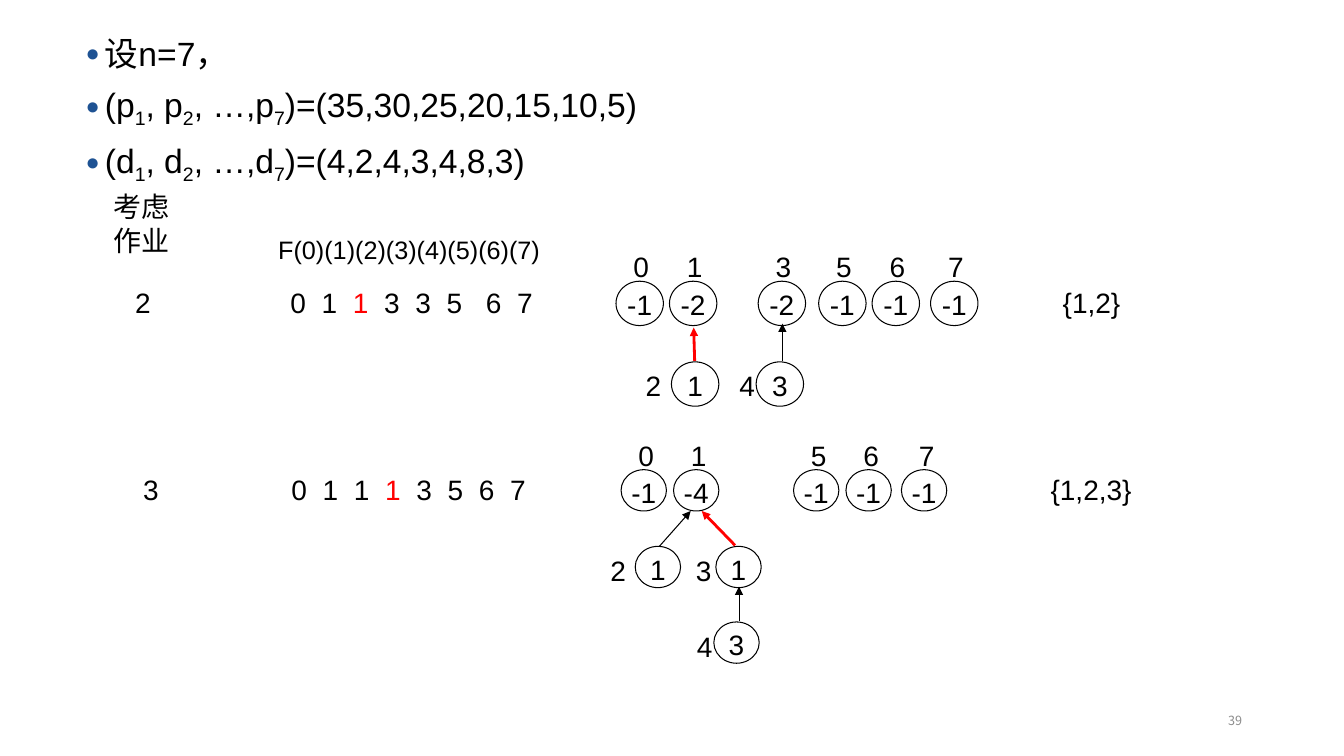
from lxml import etree
from pptx import Presentation
from pptx.dml.color import RGBColor
from pptx.enum.shapes import MSO_CONNECTOR as Connector, MSO_SHAPE as Shape
from pptx.enum.text import MSO_ANCHOR as Anchor, PP_ALIGN as Align
from pptx.oxml.ns import qn
from pptx.util import Inches, Pt

BLACK, RED, BLUE, GRAY = "000000", "FF0000", "1E5293", "8C8C8C"
LATIN, CJK = "Arial", "Noto Sans CJK SC"


def color(value):
    return RGBColor.from_string(value)


def set_font(font, size, name=LATIN, tint=BLACK):
    font.size, font.name = Pt(size), name
    font.color.rgb = color(tint)


def set_margins(frame, x=0, y=0):
    frame.margin_left = frame.margin_right = Inches(x)
    frame.margin_top = frame.margin_bottom = Inches(y)


def add_label(slide, left, top, width, height, text, size=20, name=LATIN,
              tint=BLACK, align=Align.LEFT, anchor=Anchor.TOP):
    box = slide.shapes.add_textbox(Inches(left), Inches(top), Inches(width), Inches(height))
    frame = box.text_frame
    frame.word_wrap = True
    frame.vertical_anchor = anchor
    set_margins(frame)
    frame.text = text
    for paragraph in frame.paragraphs:
        paragraph.alignment = align
        set_font(paragraph.font, size, name, tint)
    return frame


# Given data: bulleted list with subscripts
def add_bullet(paragraph):
    props = paragraph._p.get_or_add_pPr()
    props.set("marL", str(Inches(0.19)))
    props.set("indent", str(-Inches(0.19)))
    tint = etree.SubElement(props, qn("a:buClr"))
    etree.SubElement(tint, qn("a:srgbClr"), val=BLUE)
    etree.SubElement(props, qn("a:buSzPct"), val="70000")
    etree.SubElement(props, qn("a:buFont"), typeface=LATIN)
    etree.SubElement(props, qn("a:buChar"), char="●")


def fill_given(body, left, top, width, height):
    body.left, body.top = Inches(left), Inches(top)
    body.width, body.height = Inches(width), Inches(height)
    frame = body.text_frame
    set_margins(frame, 0.1, 0.05)
    lines = [["设n=7，"]]
    for letter, values in (("p", "35,30,25,20,15,10,5"), ("d", "4,2,4,3,4,8,3")):
        lines.append([f"({letter}", "1", f", {letter}", "2", f", …,{letter}", "7", f")=({values})"])
    for number, pieces in enumerate(lines):
        paragraph = frame.add_paragraph() if number else frame.paragraphs[0]
        paragraph.line_spacing = 1.1
        paragraph.space_before = Pt(4 if number else 0)
        add_bullet(paragraph)
        set_font(paragraph.font, 24)
        for place, piece in enumerate(pieces):
            run = paragraph.add_run()
            run.text = piece
            if place % 2:
                run.font._element.set("baseline", "-25000")


# Values of F, one tab stop per column
def add_values(slide, left, top, values, changed, wide_from=8):
    frame = add_label(slide, left, top, 2.62, 0.39, "")
    paragraph = frame.paragraphs[0]
    stops = etree.SubElement(paragraph._p.get_or_add_pPr(), qn("a:tabLst"))
    for column, value in enumerate(values):
        if column:
            stop = 0.31 * column + (0.08 if column >= wide_from else 0)
            etree.SubElement(stops, qn("a:tab"), pos=str(Inches(stop)), algn="l")
        run = paragraph.add_run()
        run.text = ("\t" if column else "") + str(value)
        if column == changed:
            run.font.color.rgb = color(RED)
    # tab stops come before the default run properties
    props = paragraph._p.pPr
    props.insert(0, stops)


# Trees: nodes with labels and parent arrows
def add_node(slide, left, top, width, height, value):
    node = slide.shapes.add_shape(Shape.OVAL, Inches(left), Inches(top), Inches(width), Inches(height))
    node.shadow.inherit = False
    node.fill.background()
    node.line.color.rgb = color(BLACK)
    node.line.width = Pt(0.75)
    frame = node.text_frame
    set_margins(frame)
    frame.vertical_anchor = Anchor.TOP
    frame.text = str(value)
    frame.paragraphs[0].alignment = Align.CENTER
    set_font(frame.paragraphs[0].font, 20)


def add_arrow(slide, x1, y1, x2, y2, tint):
    arrow = slide.shapes.add_connector(Connector.STRAIGHT, *map(Inches, (x1, y1, x2, y2)))
    arrow.line.color.rgb = color(tint)
    arrow.line.width = Pt(2 if tint == RED else 0.75)
    etree.SubElement(arrow.line._get_or_add_ln(), qn("a:tailEnd"), type="triangle")
    etree.SubElement(arrow._element.spPr, qn("a:effectLst"))


def draw_forest(slide, left, top, width, height, roots, children, arrows):
    for x, label, value in roots:
        add_node(slide, left + x, top, width, height, value)
        add_label(slide, left + x + 0.16, top - 0.31, 0.18, 0.28, label, align=Align.CENTER)
    for x, y, label, value, gap in children:
        add_node(slide, left + x, top + y, width, height, value)
        add_label(slide, left + x - gap, top + y + 0.07, 0.18, 0.28, label, align=Align.CENTER)
    for x1, y1, x2, y2, tint in arrows:
        add_arrow(slide, left + x1, top + y1, left + x2, top + y2, tint)


# Column headings
def add_headings(slide, left, top):
    job = add_label(slide, left, top, 0.72, 0.79, "考虑\n作业", name=CJK)
    for paragraph in job.paragraphs:
        paragraph.line_spacing = Pt(24)
    add_label(slide, left + 1.63, top + 0.44, 2.87, 0.3, "F(0)(1)(2)(3)(4)(5)(6)(7)", 18)


def main():
    deck = Presentation()
    deck.slide_width, deck.slide_height = Inches(13.33), Inches(7.5)
    slide = deck.slides.add_slide(deck.slide_layouts[1])
    title = slide.shapes.title._element
    title.getparent().remove(title)
    fill_given(slide.placeholders[1], 0.75, 0.24, 6.02, 1.81)
    add_headings(slide, 1.13, 1.88)

    # Job 2
    add_label(slide, 1.34, 2.83, 0.16, 0.34, "2")
    add_values(slide, 2.88, 2.83, (0, 1, 1, 3, 3, 5, 6, 7), changed=2, wide_from=6)
    draw_forest(
        slide, 6.11, 2.79, 0.47, 0.44,
        [(0, "0", -1), (0.53, "1", -2), (1.41, "3", -2),
         (2.01, "5", -1), (2.54, "6", -1), (3.12, "7", -1)],
        [(0.55, 0.8, "2", 1, 0.27), (1.39, 0.8, "4", 3, 0.18)],
        [(1.65, 0.79, 1.65, 0.42, BLACK), (0.78, 0.79, 0.77, 0.46, RED)])
    add_label(slide, 10.54, 2.83, 0.73, 0.38, "{1,2}")

    # Job 3
    add_label(slide, 1.42, 4.69, 0.16, 0.34, "3")
    add_values(slide, 2.89, 4.69, (0, 1, 1, 1, 3, 5, 6, 7), changed=3)
    draw_forest(
        slide, 6.16, 4.66, 0.45, 0.41,
        [(0, "0", -1), (0.52, "1", -4), (1.71, "5", -1), (2.23, "6", -1), (2.78, "7", -1)],
        [(0.14, 0.76, "2", 1, 0.26), (0.94, 0.76, "3", 1, 0.21), (0.92, 1.51, "4", 3, 0.18)],
        [(1.17, 1.5, 1.17, 1.16, BLACK), (0.38, 0.76, 0.69, 0.41, BLACK),
         (1.13, 0.75, 0.8, 0.41, RED)])
    add_label(slide, 10.42, 4.69, 0.97, 0.43, "{1,2,3}")

    # Page number
    add_label(slide, 9.42, 6.95, 2.9, 0.4, "39", 9, CJK, GRAY, Align.RIGHT, Anchor.MIDDLE)
    deck.save("out.pptx")


if __name__ == "__main__":
    main()
